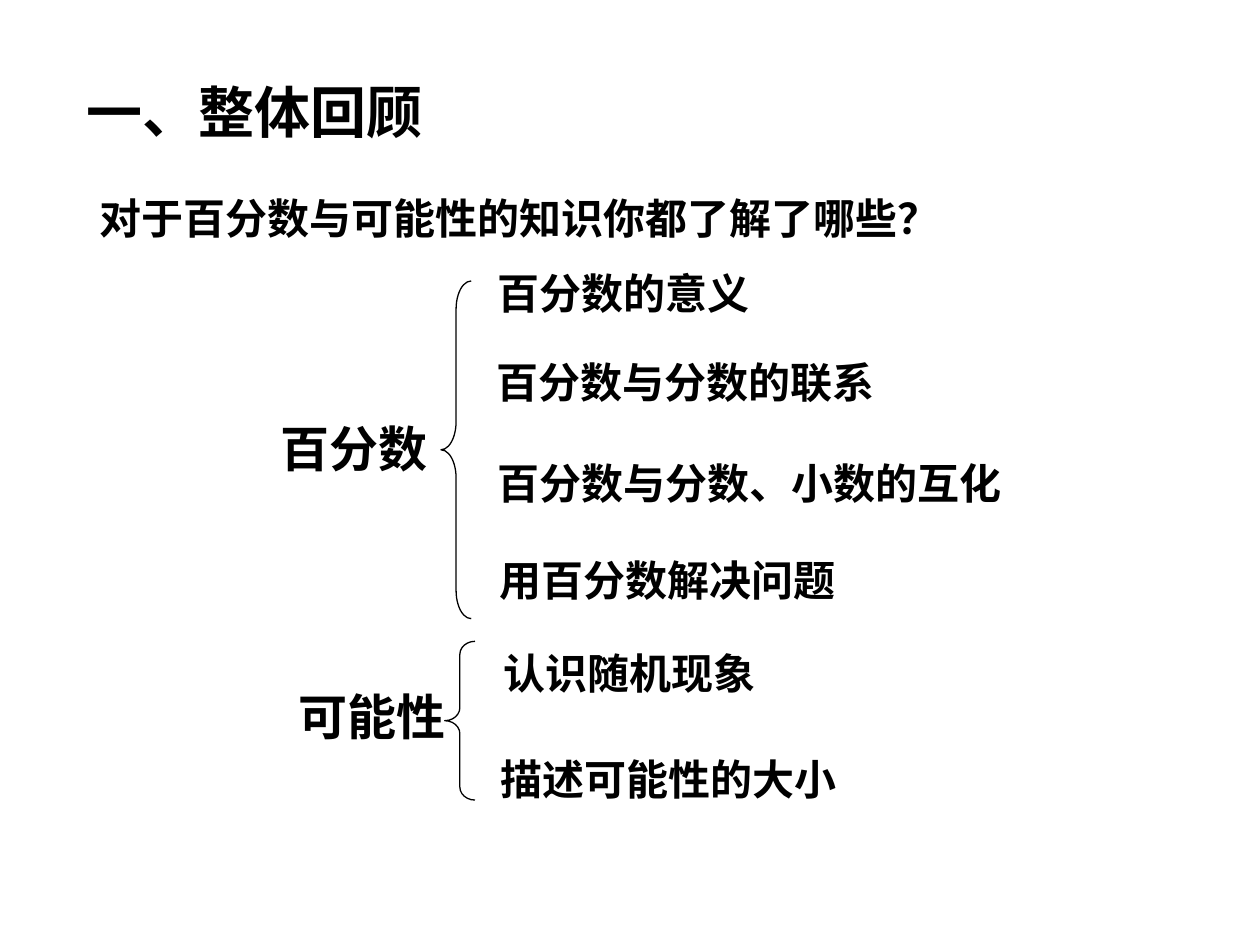
from lxml import etree
from pptx import Presentation
from pptx.dml.color import RGBColor
from pptx.enum.shapes import MSO_SHAPE
from pptx.enum.text import MSO_ANCHOR, PP_ALIGN
from pptx.oxml.ns import qn
from pptx.util import Inches, Pt

LEFT, MID = PP_ALIGN.LEFT, PP_ALIGN.CENTER
CENTRE = MSO_ANCHOR.MIDDLE
BRACE = MSO_SHAPE.LEFT_BRACE
HUES = {"ink": "000000", "page": "FFFFFF"}
SANS, HAN = "Arial", "Noto Sans CJK SC"
COLS, ROWS = 100, 75
WIDE, HIGH = Inches(10), Inches(7.5)

HEADS = [
    ("百分数", 13.9, 32.7, 28.4),
    ("可能性", 21.6, 54, 15.9),
]
BRACES = [(35, 22.3, 26.8, 0.93), (35.3, 50.9, 12.6, 0.43)]
TOPICS = [
    ("百分数的意义", 32.5, 20.7, 33.9, SANS, MID),
    ("百分数与分数的联系", 35.5, 27.8, 37.8, SANS, MID),
    ("百分数与分数、小数的互化", 34.3, 35.8, 50.4, SANS, MID),
    ("用百分数解决问题", 35, 43.5, 35.9, SANS, MID),
    ("认识随机现象", 39, 50.9, 26, HAN, LEFT),
    ("描述可能性的大小", 38.7, 59.3, 36.5, HAN, LEFT),
]


def hue(name):
    """Return the named colour."""
    return RGBColor.from_string(HUES[name])


def place(col, row, cols, rows):
    """Turn grid columns and rows into slide lengths."""
    wide, high = WIDE / COLS, HIGH / ROWS
    return int(col * wide), int(row * high), int(cols * wide), int(rows * high)


def write(slide, text, spot, size=24, face=SANS, align=LEFT, space=None):
    """Add a bold line of text in a box."""
    frame = slide.shapes.add_textbox(*place(*spot)).text_frame
    frame.word_wrap = True
    frame.vertical_anchor = CENTRE
    line = frame.paragraphs[0]
    line.alignment = align
    line.line_spacing = space
    run = line.add_run()
    run.text = text
    font = run.font
    font.name, font.size, font.bold = face, Pt(size), True
    font.color.rgb = hue("ink")
    etree.SubElement(font._element, qn("a:ea"), typeface=HAN)


def brace(slide, col, row, rows, curve):
    """Add a thin left brace."""
    shape = slide.shapes.add_shape(BRACE, *place(col, row, 2.4, rows))
    shape.shadow.inherit = False
    shape.adjustments[0] = curve
    shape.fill.background()
    shape.line.color.rgb = hue("ink")
    shape.line.width = Pt(0.75)


def main():
    """Build and save the review slide."""
    deck = Presentation()
    deck.slide_width, deck.slide_height = WIDE, HIGH
    slide = deck.slides.add_slide(deck.slide_layouts[6])
    fill = slide.background.fill
    fill.solid()
    fill.fore_color.rgb = hue("page")
    write(slide, "一、整体回顾", (5.9, 5.9, 55.1, 5.9), size=32)
    write(slide, "对于百分数与可能性的知识你都了解了哪些？",
          (6.9, 12.8, 81.3, 7), face=HAN, space=1.5)
    for text, col, row, cols in HEADS:
        write(slide, text, (col, row, cols, 5.7), size=28, align=MID)
    for part in BRACES:
        brace(slide, *part)
    for text, col, row, cols, face, align in TOPICS:
        write(slide, text, (col, row, cols, 5), face=face, align=align)
    deck.save("out.pptx")


if __name__ == "__main__":
    main()
